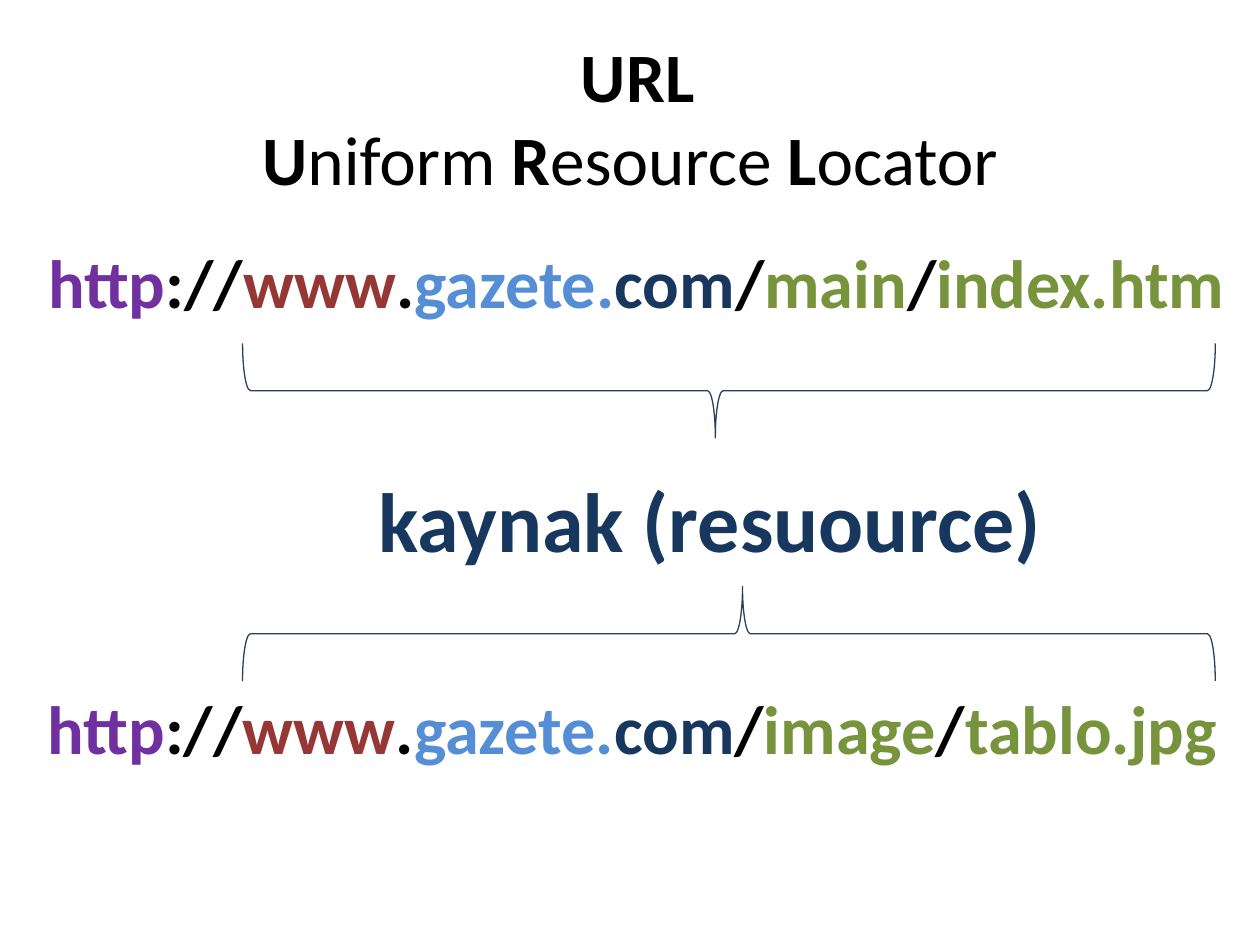
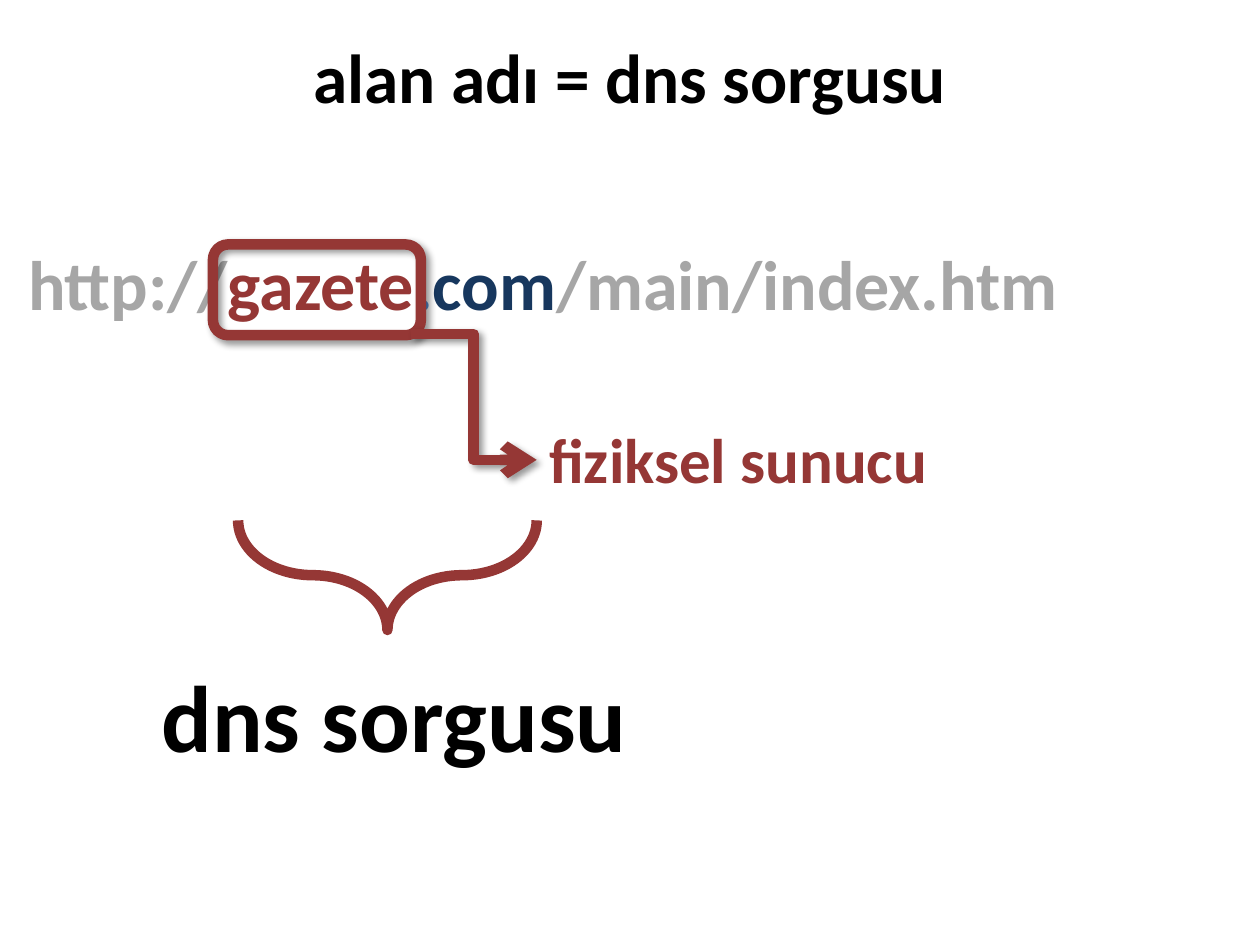
from dataclasses import dataclass
from typing import Any, NamedTuple

from lxml.etree import SubElement
from pptx import Presentation
from pptx.dml.color import RGBColor
from pptx.enum.shapes import MSO_CONNECTOR, MSO_SHAPE
from pptx.enum.text import MSO_ANCHOR, MSO_AUTO_SIZE, PP_ALIGN
from pptx.oxml.ns import qn
from pptx.slide import Slide
from pptx.util import Inches, Length, Pt


# Shared colours, type sizes and line widths
@dataclass(frozen=True)
class Theme:
    font: str = "Calibri"
    black: str = "000000"
    purple: str = "7030A0"
    red: str = "953735"
    blue: str = "558ED5"
    navy: str = "17375E"
    green: str = "77933C"
    grey: str = "A6A6A6"
    brace: str = "254061"
    title_size: float = 39.6
    address_size: float = 39
    query_address_size: float = 40
    label_size: float = 36
    resource_size: float = 48
    query_size: float = 54
    thin: float = 0.75
    thick: float = 6


class Box(NamedTuple):
    """A frame in grid columns and rows."""
    column: float
    row: float
    columns: float
    rows: float


class Part(NamedTuple):
    """A stretch of text; a text of one newline breaks the line."""
    text: str
    color: str
    bold: bool = True


@dataclass(frozen=True)
class Brace:
    box: Box
    rotation: float
    curve: float
    middle: float
    color: str
    width: float


THEME = Theme()
COLUMNS, ROWS = 100, 75
SLIDE_WIDTH, SLIDE_HEIGHT = Inches(10), Inches(7.5)
TITLE_BOX = Box(5, 3, 90, 12.5)
ADDRESS_ROW, ADDRESS_ROWS = 18.6, 54.2


def across(columns: float) -> Length:
    return Length(round(SLIDE_WIDTH * columns / COLUMNS))


def down(rows: float) -> Length:
    return Length(round(SLIDE_HEIGHT * rows / ROWS))


def frame(box: Box) -> tuple[Length, Length, Length, Length]:
    return across(box.column), down(box.row), across(box.columns), down(box.rows)


def apply_format(target: Any, values: dict[str, Any]) -> None:
    for name, value in values.items():
        setattr(target, name, value)


def add_text(slide: Slide, box: Box, parts: list[Part], size: float,
             align: PP_ALIGN = PP_ALIGN.CENTER, **frame_format: Any) -> None:
    text_frame = slide.shapes.add_textbox(*frame(box)).text_frame
    apply_format(text_frame, {"word_wrap": True, **frame_format})
    paragraph = text_frame.paragraphs[0]
    paragraph.alignment = align
    for part in parts:
        if part.text == "\n":
            paragraph.add_line_break()
            continue
        run = paragraph.add_run()
        run.text = part.text
        apply_format(run.font, {"name": THEME.font, "size": Pt(size), "bold": part.bold})
        run.font.color.rgb = RGBColor.from_string(part.color)


def add_title(slide: Slide, parts: list[Part], **frame_format: Any) -> None:
    add_text(slide, TITLE_BOX, parts, THEME.title_size,
             vertical_anchor=MSO_ANCHOR.MIDDLE, **frame_format)


def add_label(slide: Slide, box: Box, text: str, color: str, size: float,
              align: PP_ALIGN = PP_ALIGN.CENTER) -> None:
    add_text(slide, box, [Part(text, color)], size, align,
             auto_size=MSO_AUTO_SIZE.SHAPE_TO_FIT_TEXT)


def set_line(shape: Any, color: str, width: float) -> None:
    shape.line.color.rgb = RGBColor.from_string(color)
    shape.line.width = Pt(width)


def add_outline(slide: Slide, preset: MSO_SHAPE, box: Box, color: str, width: float) -> Any:
    shape = slide.shapes.add_shape(preset, *frame(box))
    shape.fill.background()
    set_line(shape, color, width)
    return shape


def add_brace(slide: Slide, brace: Brace) -> None:
    shape = add_outline(slide, MSO_SHAPE.LEFT_BRACE, brace.box, brace.color, brace.width)
    shape.shadow.inherit = False
    shape.rotation = brace.rotation
    shape.adjustments[0] = brace.curve
    shape.adjustments[1] = brace.middle


def add_shadow(shape: Any) -> None:
    effects = SubElement(shape._element.spPr, qn("a:effectLst"))
    shadow = SubElement(effects, qn("a:outerShdw"), blurRad=str(Pt(4)), dist=str(Pt(3)),
                        dir=str(45 * 60000), rotWithShape="0")
    color = SubElement(shadow, qn("a:srgbClr"), val=THEME.black)
    SubElement(color, qn("a:alpha"), val="40000")


def add_elbow_arrow(slide: Slide, start: tuple[float, float], end: tuple[float, float]) -> None:
    connector = slide.shapes.add_connector(
        MSO_CONNECTOR.ELBOW, across(start[0]), down(start[1]), across(end[0]), down(end[1]))
    set_line(connector, THEME.red, THEME.thick)
    SubElement(connector._element.spPr.find(qn("a:ln")), qn("a:tailEnd"), type="arrow")
    add_shadow(connector)


def address_parts(folder: str, file: str) -> list[Part]:
    """Colour each part of a web address by its role."""
    return [
        Part("http", THEME.purple), Part("://", THEME.black),
        Part("www", THEME.red), Part(".", THEME.black),
        Part("gazete.", THEME.blue), Part("com", THEME.navy),
        Part("/", THEME.black), Part(folder, THEME.green),
        Part("/", THEME.black), Part(file, THEME.green),
    ]


def build_address_slide(slide: Slide) -> None:
    # Two addresses, each braced towards the shared label
    add_text(slide, Box(2, ADDRESS_ROW, 97, ADDRESS_ROWS),
             address_parts("main", "index.htm"), THEME.address_size)
    add_label(slide, Box(21.7, 36.7, 69.3, 12.1), "kaynak (resuource)",
              THEME.navy, THEME.resource_size)
    add_text(slide, Box(2.8, 54, 95.3, 7.6), address_parts("image", "tablo.jpg"),
             THEME.address_size, PP_ALIGN.LEFT, auto_size=MSO_AUTO_SIZE.SHAPE_TO_FIT_TEXT)
    for row, rotation in ((-7.6, 270), (11.7, 90)):
        add_brace(slide, Brace(Box(54.1, row, 7.5, 77.2), rotation, 0.083, 0.486,
                               THEME.brace, THEME.thin))

    # Title with the initials in bold
    title = [Part(" ", THEME.black), Part("URL", THEME.black), Part("\n", THEME.black)]
    for initial, rest in (("U", "niform "), ("R", "esource "), ("L", "ocator")):
        title += [Part(initial, THEME.black), Part(rest, THEME.black, False)]
    add_title(slide, title)


def build_query_slide(slide: Slide) -> None:
    # Address with the domain name picked out
    add_text(slide, Box(0, ADDRESS_ROW, 100, ADDRESS_ROWS), [
        Part(" http://", THEME.grey), Part("gazete", THEME.red), Part(".", THEME.blue),
        Part("com", THEME.navy), Part("/main/index.htm", THEME.grey),
    ], THEME.query_address_size, PP_ALIGN.LEFT)

    # The bottom margin lifts the single line to the first title line
    add_title(slide, [Part("alan adı = dns sorgusu", THEME.black)], margin_bottom=down(7))

    # Query brace and its label
    add_brace(slide, Brace(Box(26.4, 33.8, 8.7, 23.7), 270, 0.92, 0.5,
                           THEME.red, THEME.thick))
    add_label(slide, Box(1, 51.7, 60.6, 10.1), "dns sorgusu", THEME.black, THEME.query_size)

    # Framed name leading to the physical server
    name_frame = add_outline(slide, MSO_SHAPE.ROUNDED_RECTANGLE, Box(16.9, 19.4, 16.5, 7.2),
                             THEME.red, THEME.thick)
    add_shadow(name_frame)
    add_elbow_arrow(slide, (32.6, 26.5), (42.6, 36.5))
    add_label(slide, Box(42.6, 32.9, 38.6, 7.1), "fiziksel sunucu",
              THEME.red, THEME.label_size, PP_ALIGN.LEFT)


def main() -> None:
    presentation = Presentation()
    apply_format(presentation, {"slide_width": SLIDE_WIDTH, "slide_height": SLIDE_HEIGHT})
    blank_layout = presentation.slide_layouts[6]
    for build in (build_address_slide, build_query_slide):
        build(presentation.slides.add_slide(blank_layout))
    presentation.save("out.pptx")


main()
